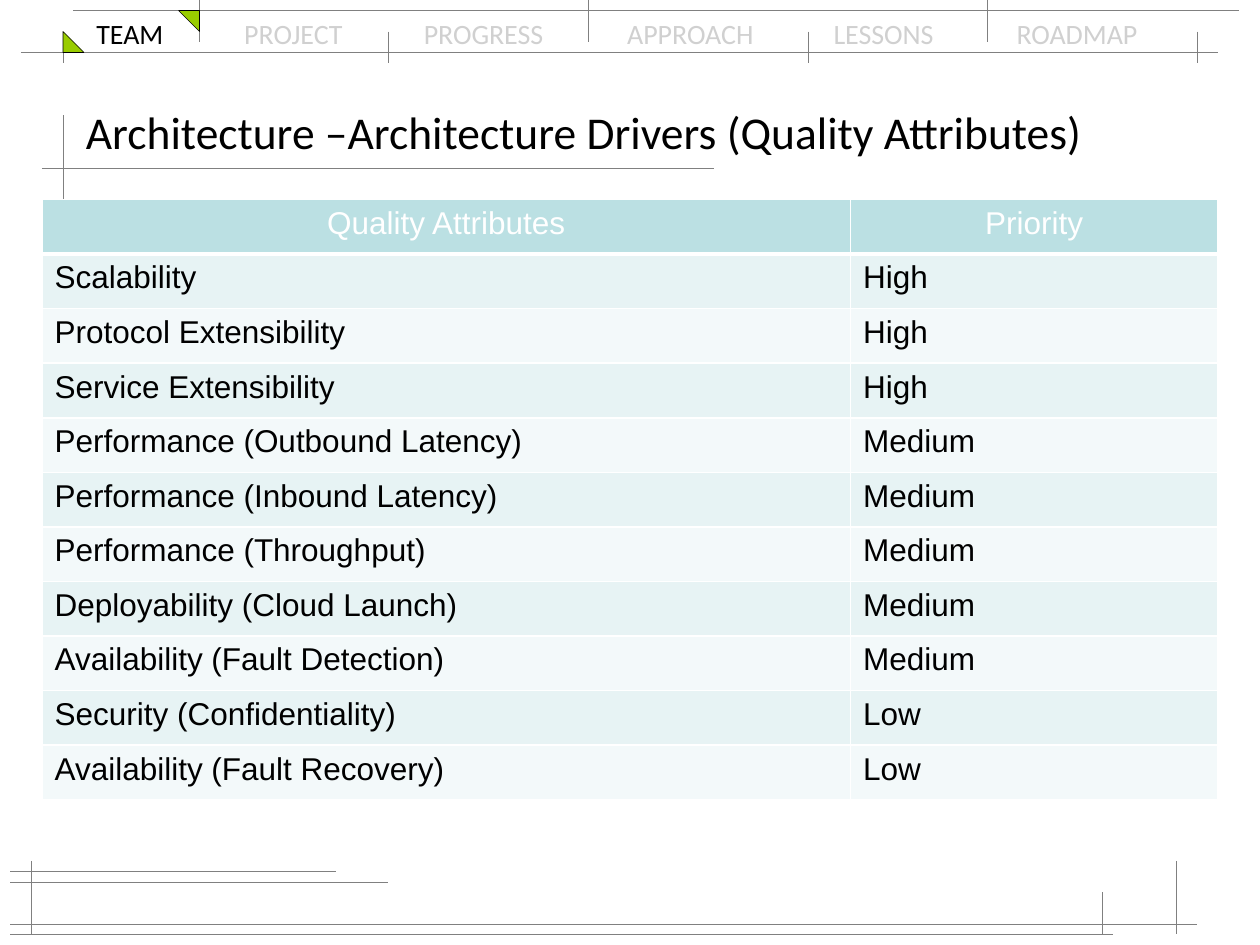
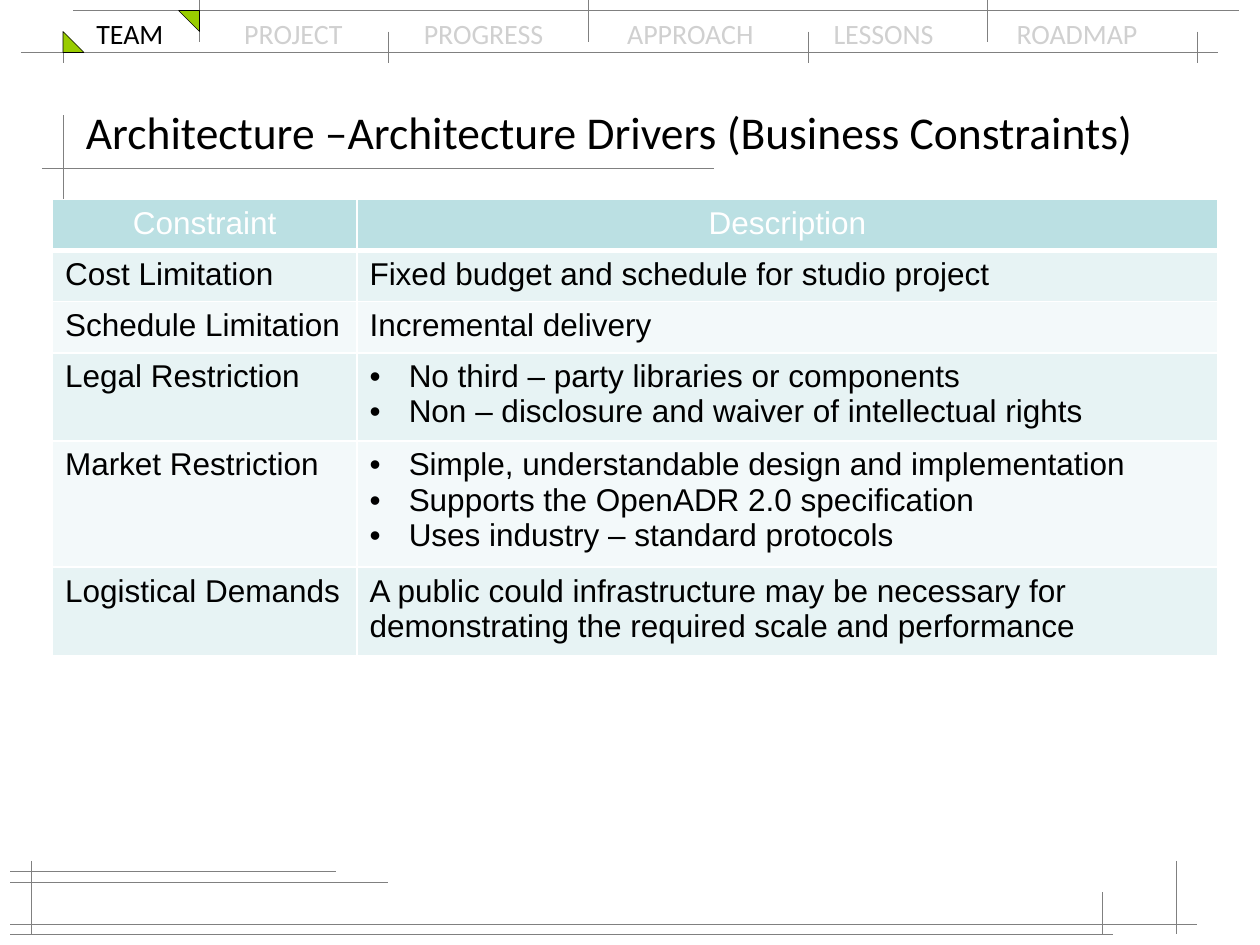
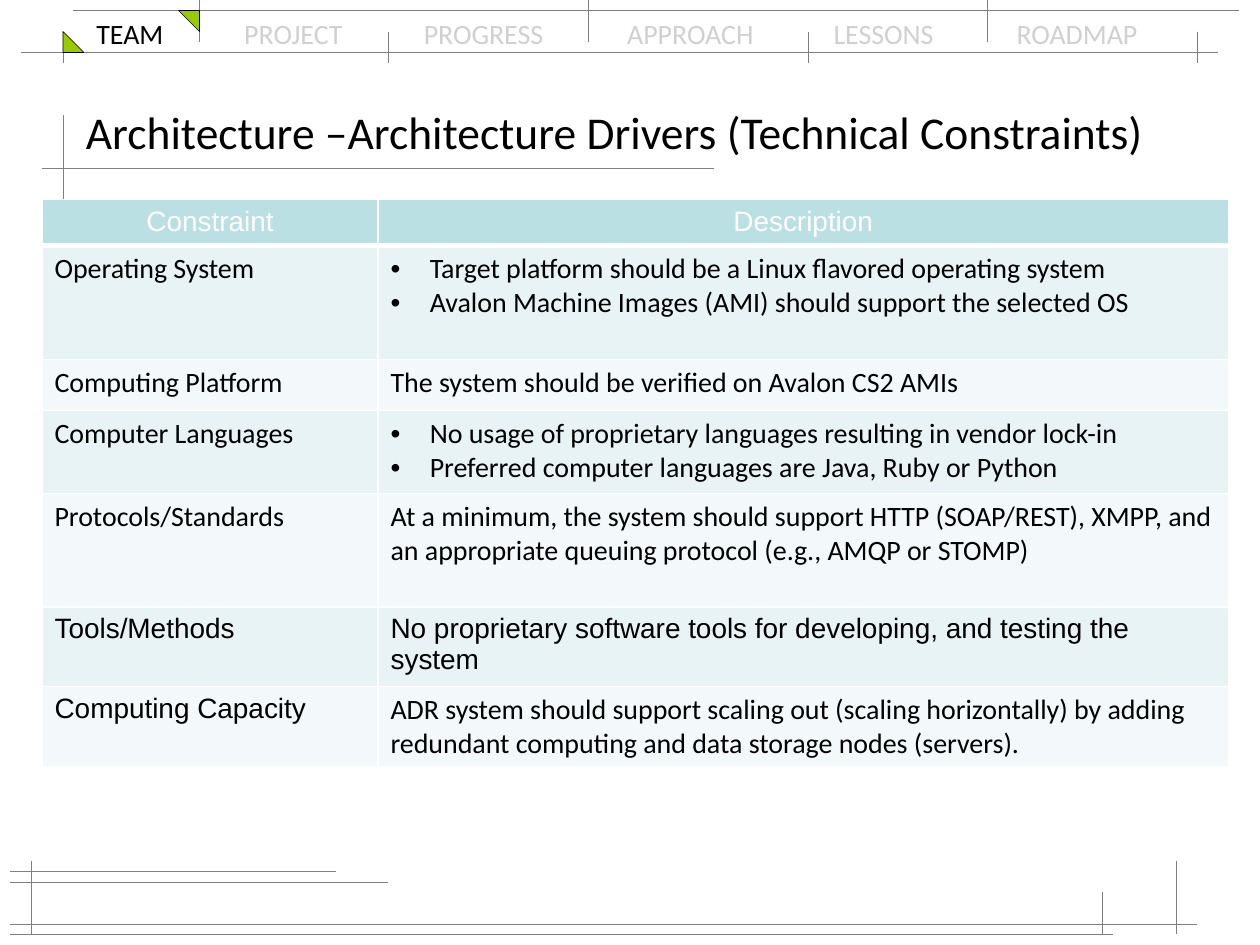
from lxml import etree
from pptx import Presentation
from pptx.dml.color import RGBColor
from pptx.enum.shapes import MSO_CONNECTOR, MSO_SHAPE
from pptx.enum.text import MSO_ANCHOR, PP_ALIGN
from pptx.oxml.ns import qn
from pptx.util import Cm, Pt

STRAIGHT = MSO_CONNECTOR.STRAIGHT
RIGHT_TRIANGLE = MSO_SHAPE.RIGHT_TRIANGLE
MIDDLE = MSO_ANCHOR.MIDDLE
CENTER = PP_ALIGN.CENTER

# Shared look
BODY_FONT, HEADING_FONT = "Arial", "Calibri"
BLACK, WHITE = "000000", "FFFFFF"
MUTED, RULE_GREY, GREEN = "D0D0D0", "808080", "99CC00"
HEADER_FILL = "BBE0E3"
BAND_FILLS = ("E7F3F4", "F3F9FA")
HAIRLINE = Pt(0.3)
INDENT = Cm(0.79)

# The layout grid has twelve units to the inch; boxes are (left, top, width, height) in units
UNIT = Cm(2.54) // 12
NAVIGATION_BOX = (0, 0, 120, 6)
TITLE_BOX = (4, 9, 109, 15)
FOOTER_BOX = (1, 82, 113, 7)

SECTIONS = ("TEAM", "PROJECT", "PROGRESS", "APPROACH", "LESSONS", "ROADMAP")
SECTION_STOPS = (Cm(2.98), Cm(6.6), Cm(10.7), Cm(14.86), Cm(18.55))

# Rules as (x1, y1, x2, y2), relative to their box
NAVIGATION_RULES = (
    [(2, 5, 116, 5), (7, 1, 118, 1)]
    + [(x, 3, x, 6) for x in (6, 37, 77, 114)]
    + [(x, -3, x, 4) for x in (19, 56, 94)]
)
TITLE_RULES = [(2, 2, 2, 15), (0, 7, 64, 7)]
FOOTER_RULES = [
    (0, 2, 36, 2), (0, 6, 113, 6), (0, 1, 31, 1), (0, 7, 105, 7),
    (2, 0, 2, 7), (111, 0, 111, 7), (104, 3, 104, 7),
]

QUALITY_ROWS = [
    ("Quality Attributes", "Priority"),
    ("Scalability", "High"),
    ("Protocol Extensibility", "High"),
    ("Service Extensibility", "High"),
    ("Performance (Outbound Latency)", "Medium"),
    ("Performance (Inbound Latency)", "Medium"),
    ("Performance (Throughput)", "Medium"),
    ("Deployability (Cloud Launch)", "Medium"),
    ("Availability (Fault Detection)", "Medium"),
    ("Security (Confidentiality)", "Low"),
    ("Availability (Fault Recovery)", "Low"),
]
# A list in a cell is a bulleted list
BUSINESS_ROWS = [
    ("Constraint", "Description"),
    ("Cost Limitation", "Fixed budget and schedule for studio project"),
    ("Schedule Limitation", "Incremental delivery"),
    ("Legal Restriction", ["No third – party libraries or components",
                           "Non – disclosure and waiver of intellectual rights"]),
    ("Market Restriction", ["Simple, understandable design and implementation",
                            "Supports the OpenADR 2.0 specification",
                            "Uses industry – standard protocols"]),
    ("Logistical Demands", "A public could infrastructure may be necessary for "
                           "demonstrating the required scale and performance"),
]
TECHNICAL_ROWS = [
    ("Constraint", "Description"),
    ("Operating System", ["Target platform should be a Linux flavored operating system",
                          "Avalon Machine Images (AMI) should support the selected OS"]),
    ("Computing Platform", "The system should be verified on Avalon CS2 AMIs"),
    ("Computer Languages", ["No usage of proprietary languages resulting in vendor lock-in",
                            "Preferred computer languages are Java, Ruby or Python"]),
    ("Protocols/Standards", "At a minimum, the system should support HTTP (SOAP/REST), XMPP, "
                            "and an appropriate queuing protocol (e.g., AMQP or STOMP)"),
    ("Tools/Methods", "No proprietary software tools for developing, and testing the system"),
    ("Computing Capacity", "ADR system should support scaling out (scaling horizontally) by "
                           "adding redundant computing and data storage nodes (servers)."),
]
# Cells (row, column) of the technical table set in the heading font
TECHNICAL_HEADING_CELLS = {(row, column) for row in range(1, 5) for column in (0, 1)} | {(6, 1)}


def color(hex_string):
    return RGBColor.from_string(hex_string)


def add_run(paragraph, text, size, font, hex_string):
    run = paragraph.add_run()
    run.text = text
    run.font.size = Pt(size)
    run.font.name = font
    run.font.bold = False
    run.font.color.rgb = color(hex_string)


def add_text_frame(slide, left, top, width, height):
    shape = slide.shapes.add_textbox(left * UNIT, top * UNIT, width * UNIT, height * UNIT)
    shape.text_frame.word_wrap = True
    return shape.text_frame


def add_rules(slide, box, rules):
    left, top = box[:2]
    for x1, y1, x2, y2 in rules:
        connector = slide.shapes.add_connector(
            STRAIGHT, (left + x1) * UNIT, (top + y1) * UNIT,
            (left + x2) * UNIT, (top + y2) * UNIT)
        connector.line.color.rgb = color(RULE_GREY)
        connector.line.width = HAIRLINE
        properties = connector._element.find(qn("p:spPr"))
        etree.SubElement(properties, qn("a:effectLst"))


def add_navigation(slide, box):
    left, top = box[:2]
    # Section names, the current one in black
    frame = add_text_frame(slide, left + 8, top + 1, 104, 4.4)
    paragraph = frame.paragraphs[0]
    properties = paragraph._p.get_or_add_pPr()
    stops = etree.SubElement(properties, qn("a:tabLst"))
    for position in SECTION_STOPS:
        etree.SubElement(stops, qn("a:tab"), pos=str(position), algn="l")
    add_run(paragraph, SECTIONS[0], 16, HEADING_FONT, BLACK)
    for section in SECTIONS[1:]:
        add_run(paragraph, "\t" + section, 16, HEADING_FONT, MUTED)
    add_rules(slide, box, NAVIGATION_RULES)
    # Corner marks around the current section
    for x, y, rotation in ((6, 3, 0), (17, 1, 180)):
        corner = slide.shapes.add_shape(
            RIGHT_TRIANGLE, (left + x) * UNIT, (top + y) * UNIT, 2 * UNIT, 2 * UNIT)
        corner.rotation = rotation
        corner.shadow.inherit = False
        corner.fill.solid()
        corner.fill.fore_color.rgb = color(GREEN)
        corner.line.color.rgb = color(BLACK)
        corner.line.width = HAIRLINE


def add_title(slide, box, title):
    left, top, width, _ = box
    add_rules(slide, box, TITLE_RULES)
    frame = add_text_frame(slide, left + 3, top, width - 3, 7)
    frame.vertical_anchor = MIDDLE
    add_run(frame.paragraphs[0], title, 26, HEADING_FONT, BLACK)


def add_borders(cell, bottom_width):
    properties = cell._tc.get_or_add_tcPr()
    for side, width in (("L", 1), ("R", 1), ("T", 1), ("B", bottom_width)):
        border = etree.SubElement(properties, qn("a:ln" + side), w=str(Pt(width)))
        fill = etree.SubElement(border, qn("a:solidFill"))
        etree.SubElement(fill, qn("a:srgbClr"), val=WHITE)


def add_bullet(paragraph):
    properties = paragraph._p.get_or_add_pPr()
    properties.set("marL", str(INDENT))
    properties.set("indent", str(-INDENT))
    etree.SubElement(properties, qn("a:buFont"), typeface=BODY_FONT)
    etree.SubElement(properties, qn("a:buChar"), char="•")


def fill_cell(cell, content, row, size, font):
    is_header = row == 0
    add_borders(cell, 3 if is_header else 1)
    cell.fill.solid()
    cell.fill.fore_color.rgb = color(HEADER_FILL if is_header else BAND_FILLS[(row - 1) % 2])
    is_list = isinstance(content, list)
    frame = cell.text_frame
    for index, text in enumerate(content if is_list else [content]):
        paragraph = frame.add_paragraph() if index else frame.paragraphs[0]
        if is_list:
            add_bullet(paragraph)
        if is_header:
            paragraph.alignment = CENTER
        add_run(paragraph, text, size, font, WHITE if is_header else BLACK)


def add_driver_table(slide, left, top, column_units, row_heights, rows, size, heading_cells=()):
    shape = slide.shapes.add_table(
        len(rows), len(column_units), left * UNIT, top * UNIT,
        sum(column_units) * UNIT, Cm(sum(row_heights)))
    table = shape.table
    table.horz_banding = False
    for column, units in zip(table.columns, column_units):
        column.width = units * UNIT
    for row, height in zip(table.rows, row_heights):
        row.height = Cm(height)
    for row, contents in enumerate(rows):
        for column, content in enumerate(contents):
            font = HEADING_FONT if (row, column) in heading_cells else BODY_FONT
            fill_cell(table.cell(row, column), content, row, size, font)


def add_driver_slide(presentation, topic):
    slide = presentation.slides.add_slide(presentation.slide_layouts[6])
    add_navigation(slide, NAVIGATION_BOX)
    add_rules(slide, FOOTER_BOX, FOOTER_RULES)
    add_title(slide, TITLE_BOX, f"Architecture –Architecture Drivers ({topic})")
    return slide


def main():
    presentation = Presentation()
    presentation.slide_width = Cm(25.4)
    presentation.slide_height = Cm(19.05)

    slide = add_driver_slide(presentation, "Quality Attributes")
    add_driver_table(slide, 4, 19, (77, 35), [1.1] * len(QUALITY_ROWS), QUALITY_ROWS, 18)

    slide = add_driver_slide(presentation, "Business Constraints")
    add_driver_table(slide, 5, 19, (29, 82), [1.03, 1.03, 1.03, 1.78, 2.53, 1.78],
                     BUSINESS_ROWS, 18)

    slide = add_driver_slide(presentation, "Technical Constraints")
    add_driver_table(slide, 4, 19, (32, 81), [0.87, 2.29, 1.03, 1.67, 2.29, 1.6, 1.6],
                     TECHNICAL_ROWS, 16, TECHNICAL_HEADING_CELLS)

    presentation.save("out.pptx")


if __name__ == "__main__":
    main()
